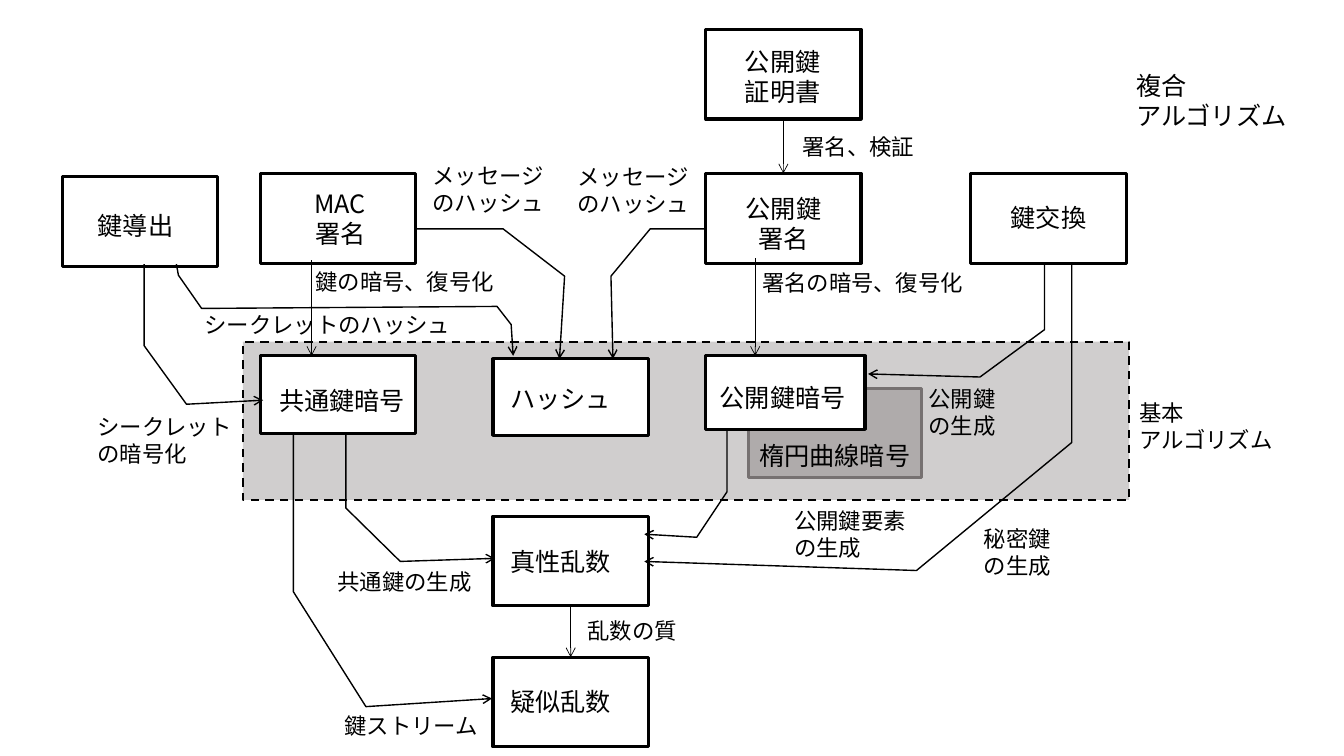
from lxml import etree
from pptx import Presentation
from pptx.dml.color import RGBColor
from pptx.enum.dml import MSO_LINE
from pptx.enum.shapes import MSO_CONNECTOR, MSO_SHAPE
from pptx.enum.text import MSO_AUTO_SIZE, PP_ALIGN
from pptx.oxml.ns import qn
from pptx.util import Inches, Pt

RECT = MSO_SHAPE.RECTANGLE
STRAIGHT = MSO_CONNECTOR.STRAIGHT
DASH = MSO_LINE.DASH
CENTER, LEFT = PP_ALIGN.CENTER, PP_ALIGN.LEFT
FIT = MSO_AUTO_SIZE.SHAPE_TO_FIT_TEXT
FONT = "Noto Sans CJK JP"
BLACK, WHITE, BAND, GRAY, EDGE = "000000", "FFFFFF", "D0CECE", "AFABAB", "767171"

SLIDE_W, SLIDE_H = 13.33, 7.5
BOX_W, BOX_H = 1.54, 0.89
COL = {"derive": 0.62, "common": 2.58, "hash": 4.89, "public": 7, "exchange": 9.63}
ROW = {"cert": 0.29, "compound": 1.72, "basic": 3.53, "true": 5.12, "pseudo": 6.52}
BAND_AREA = (2.41, 3.39, 8.79, 1.57)

# name: (left, top, width, height, fill, edge)
BOXES = {
    "鍵導出": (COL["derive"], 1.75, BOX_W, BOX_H, WHITE, BLACK),
    "MAC署名": (COL["common"], ROW["compound"], BOX_W, BOX_H, WHITE, BLACK),
    "公開鍵署名": (COL["public"], ROW["compound"], BOX_W, BOX_H, WHITE, BLACK),
    "鍵交換": (COL["exchange"], ROW["compound"], BOX_W, BOX_H, WHITE, BLACK),
    "公開鍵証明書": (COL["public"], ROW["cert"], BOX_W, BOX_H, WHITE, BLACK),
    "共通鍵暗号": (COL["common"], ROW["basic"], BOX_W, 0.77, WHITE, BLACK),
    "ハッシュ": (COL["hash"], 3.56, BOX_W, 0.76, WHITE, BLACK),
    "楕円曲線暗号": (7.42, 3.85, 1.72, BOX_H, GRAY, EDGE),
    "公開鍵暗号": (COL["public"], ROW["basic"], 1.58, 0.73, WHITE, BLACK),
    "真性乱数": (COL["hash"], ROW["true"], BOX_W, BOX_H, WHITE, BLACK),
    "疑似乱数": (COL["hash"], ROW["pseudo"], BOX_W, BOX_H, WHITE, BLACK),
}

JOINED = [("公開鍵証明書", "公開鍵署名"), ("真性乱数", "疑似乱数")]
VERTICAL = [(3.09, 2.58, ROW["basic"]), (7.49, 2.56, ROW["basic"])]

BENT = [
    [(3.43, 4.3), (3.43, 5.04), (3.97, 5.57), (4.91, 5.54)],
    [(7.21, 4.25), (7.21, 4.88), (6.91, 5.33), (6.39, 5.3)],
    [(7, 2.27), (6.45, 2.27), (6.06, 2.74), (6.08, 3.56)],
    [(4.13, 2.27), (4.99, 2.27), (5.6, 2.74), (5.55, 3.56)],
    [(10.36, 2.62), (10.36, 3.27), (9.72, 3.74), (8.61, 3.71)],
    [(10.63, 2.62), (10.63, 4.39), (9.09, 5.66), (6.39, 5.57)],
    [(1.43, 2.62), (1.43, 3.43), (1.85, 4.01), (2.61, 3.97)],
    [(1.75, 2.62), (1.77, 2.73), (2, 3.06), (4.93, 3.04), (5.07, 3.22), (5.09, 3.53)],
    [(2.91, 4.29), (2.91, 5.87), (3.63, 7.01), (4.88, 6.93)],
]

# size: (text, left, top, width, alignment)
LABELS = {
    18: [
        ("MAC\n署名", 2.99, 1.82, 0.77, CENTER),
        ("公開鍵\n署名", 7.29, 1.87, 0.96, CENTER),
        ("公開鍵\n証明書", 7.29, 0.41, 0.96, LEFT),
        ("鍵交換", 9.92, 1.96, 0.96, CENTER),
        ("鍵導出", 0.87, 2.04, 0.96, LEFT),
        ("共通鍵暗号", 2.67, 3.77, 1.46, LEFT),
        ("ハッシュ", 4.96, 3.75, 1.21, LEFT),
        ("公開鍵暗号", 7.04, 3.74, 1.46, LEFT),
        ("楕円曲線暗号", 7.43, 4.32, 1.72, LEFT),
        ("真性乱数", 4.96, 5.37, 1.21, LEFT),
        ("疑似乱数", 4.96, 6.76, 1.21, LEFT),
        ("複合\nアルゴリズム", 11.17, 0.65, 1.72, LEFT),
    ],
    16: [
        ("基本\nアルゴリズム", 11.2, 3.91, 1.55, LEFT),
        ("署名、検証", 7.86, 1.27, 1.32, LEFT),
        ("メッセージ\nのハッシュ", 4.19, 1.56, 1.32, LEFT),
        ("メッセージ\nのハッシュ", 5.63, 1.57, 1.32, LEFT),
        ("鍵の暗号、復号化", 3.03, 2.61, 2, LEFT),
        ("署名の暗号、復号化", 7.46, 2.62, 2.22, LEFT),
        ("シークレットのハッシュ", 1.93, 3.04, 2.67, LEFT),
        ("シークレット\nの暗号化", 0.87, 4.05, 1.55, LEFT),
        ("公開鍵\nの生成", 9.11, 3.77, 0.88, LEFT),
        ("公開鍵要素\nの生成", 7.78, 4.98, 1.32, LEFT),
        ("秘密鍵\nの生成", 9.66, 5.16, 0.88, LEFT),
        ("共通鍵の生成", 3.25, 5.59, 1.55, LEFT),
        ("乱数の質", 5.73, 6.07, 1.1, LEFT),
        ("鍵ストリーム", 3.32, 7.02, 1.55, LEFT),
    ],
}


def set_line(sp, color, width):
    sp.line.color.rgb = RGBColor.from_string(color)
    sp.line.width = Pt(width)


def add_arrowhead(sp):
    etree.SubElement(sp.line._get_or_add_ln(), qn("a:tailEnd"), type="arrow")


def add_box(shapes, area, fill, edge, width=2.25):
    sp = shapes.add_shape(RECT, *map(Inches, area))
    sp.shadow.inherit = False
    sp.fill.solid()
    sp.fill.fore_color.rgb = RGBColor.from_string(fill)
    set_line(sp, edge, width)
    return sp


def add_straight(shapes, x, top, bottom):
    c = shapes.add_connector(STRAIGHT, Inches(x), Inches(top), Inches(x), Inches(bottom))
    set_line(c, BLACK, 0.5)
    add_arrowhead(c)
    etree.SubElement(c._element.spPr, qn("a:effectLst"))
    return c


def add_bent(shapes, points):
    start, *rest = [(Inches(x), Inches(y)) for x, y in points]
    builder = shapes.build_freeform(*start)
    builder.add_line_segments(rest, close=False)
    sp = builder.convert_to_shape()
    sp.shadow.inherit = False
    sp.fill.background()
    set_line(sp, BLACK, 1)
    add_arrowhead(sp)


def add_label(shapes, size, text, left, top, width, align):
    pitch = size * 1.2
    height = 0.1 + pitch / 72 * len(text.split("\n"))
    tf = shapes.add_textbox(*map(Inches, (left, top, width, height))).text_frame
    tf.text = text
    tf.word_wrap = False
    tf.auto_size = FIT
    for p in tf.paragraphs:
        p.alignment = align
        p.line_spacing = Pt(pitch)
        for r in p.runs:
            r.font.size = Pt(size)
            r.font.name = FONT
            r.font.color.rgb = RGBColor.from_string(BLACK)
            etree.SubElement(r.font._element, qn("a:ea"), typeface=FONT)


def main():
    """Build the slide of cryptographic algorithms and their dependencies."""
    prs = Presentation()
    prs.slide_width, prs.slide_height = Inches(SLIDE_W), Inches(SLIDE_H)
    shapes = prs.slides.add_slide(prs.slide_layouts[6]).shapes

    band = add_box(shapes, BAND_AREA, BAND, BLACK, 1.5)
    band.line.dash_style = DASH
    boxes = {name: add_box(shapes, b[:4], *b[4:]) for name, b in BOXES.items()}

    for upper, lower in JOINED:
        left, top, width, height = BOXES[upper][:4]
        c = add_straight(shapes, left + width / 2, top + height, BOXES[lower][1])
        c.begin_connect(boxes[upper], 2)
        c.end_connect(boxes[lower], 0)
    for x, top, bottom in VERTICAL:
        add_straight(shapes, x, top, bottom)
    for points in BENT:
        add_bent(shapes, points)
    for size, labels in LABELS.items():
        for label in labels:
            add_label(shapes, size, *label)

    prs.save("out.pptx")


if __name__ == "__main__":
    main()
